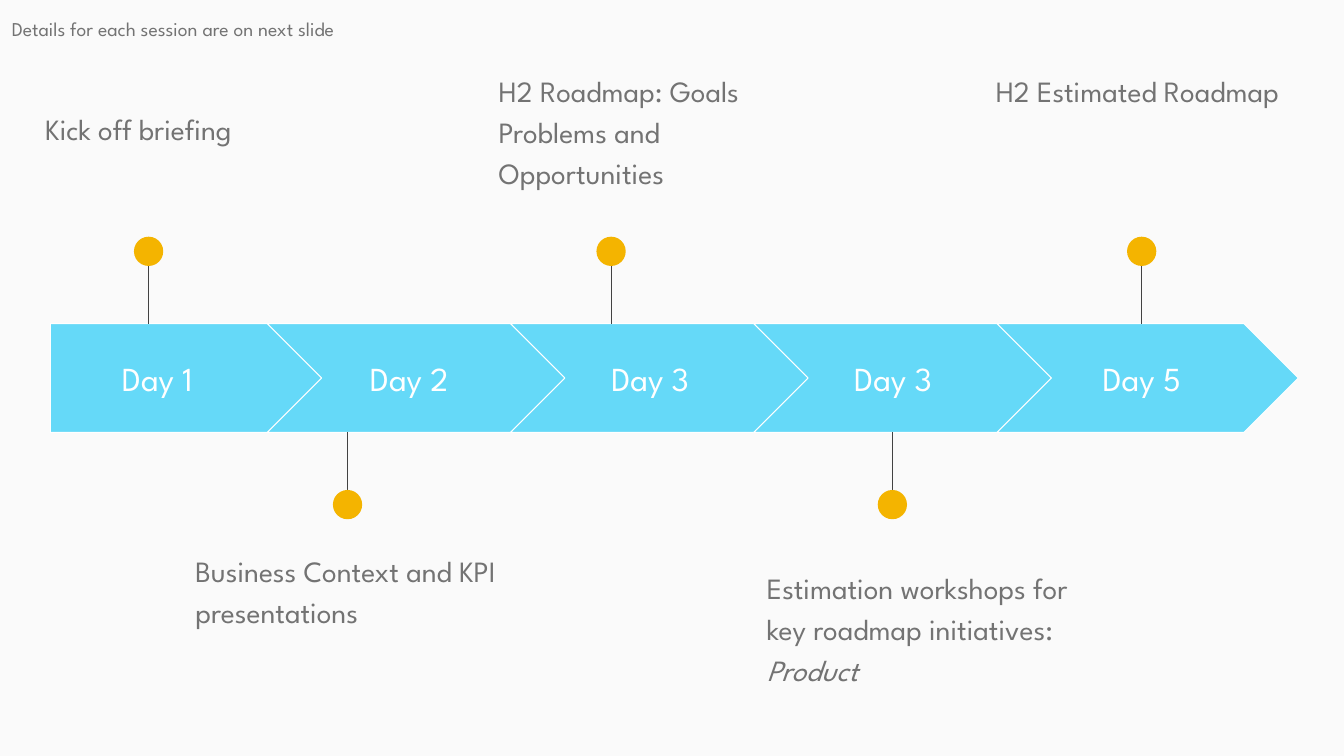
import pptx
import pptx.util
import pptx.dml.color
import pptx.enum.shapes
import pptx.enum.text
import pptx.oxml.ns
import lxml.etree

SHAPE = pptx.enum.shapes.MSO_SHAPE
ALIGN = pptx.enum.text.PP_ALIGN
ANCHOR = pptx.enum.text.MSO_ANCHOR
FONT = "League Spartan"
BLUE, GOLD, GREY, WHITE = "65D9F8", "F4B400", "737373", "FFFFFF"
DARK, PAPER = "424242", "FAFAFA"

# The slide is a grid of 100 columns by 100 rows
WIDE, HIGH = pptx.util.Inches(13.333), pptx.util.Inches(7.5)

# Band: left, top, width, height
BAND = (3.75, 42.8, 92.85, 14.4)
STEP = 18.1  # columns from one arrow tip to the next
ARROW = 22.42  # columns in a chevron

# Day, label centre, pin column, above the band, note box, note runs
DAYS = [
    ("Day 1", 11.7, 11.06, True, (2.4, 12.27, 24.53, 16.4),
     ["Kick off briefing"]),
    ("Day 2", 30.45, 25.86, False, (13.58, 70.8, 24.53, 27.87),
     ["Business Context and KPI presentations"]),
    ("Day 3", 48.38, 45.47, True, (36.15, 7.33, 24.53, 17.6),
     ["H2 Roadmap: Goals Problems and Opportunities"]),
    ("Day 3", 66.45, 66.4, False, (56.1, 73.07, 24.53, 17.6),
     ["Estimation workshops for key roadmap initiatives: ", "Product"]),
    ("Day 5", 84.95, 84.95, True, (73.13, 7.33, 24.53, 17.6),
     ["H2 Estimated Roadmap"]),
]


def paint(code):
    return pptx.dml.color.RGBColor.from_string(code)


def cols(n):
    return round(WIDE * n / 100)


def rows(n):
    return round(HIGH * n / 100)


def place(box):
    left, top, width, height = box
    return cols(left), rows(top), cols(width), rows(height)


def shape(slide, kind, box, fill, line=None):
    item = slide.shapes.add_shape(kind, *place(box))
    item.shadow.inherit = False
    item.fill.solid()
    item.fill.fore_color.rgb = paint(fill)
    if line:
        item.line.color.rgb = paint(line)
        item.line.width = pptx.util.Pt(0.75)
    else:
        item.line.fill.background()
    return item


def text(slide, box, parts, size, color, label=False):
    frame = slide.shapes.add_textbox(*place(box)).text_frame
    frame.word_wrap = True
    frame.margin_left = frame.margin_right = cols(0.96)
    frame.margin_top = frame.margin_bottom = rows(1.7)
    para = frame.paragraphs[0]
    if label:
        frame.vertical_anchor = ANCHOR.MIDDLE
        para.alignment = ALIGN.CENTER
    else:
        para.line_spacing = 1.15
    for spot, part in enumerate(parts):
        run = para.add_run()
        run.text = part
        run.font.name = FONT
        run.font.size = pptx.util.Pt(size)
        run.font.color.rgb = paint(color)
        if spot:
            run.font.italic = True


def arrows(slide, box):
    """Row of arrows with a day on each."""
    left, top, width, height = box
    for spot, (day, mid, *rest) in enumerate(DAYS):
        tip = left + width - STEP * (len(DAYS) - 1 - spot)
        start = tip - ARROW if spot else left
        kind = SHAPE.CHEVRON if spot else SHAPE.PENTAGON
        item = shape(slide, kind, (start, top, tip - start, height), BLUE, WHITE)
        item.adjustments[0] = 0.5
        tall = 9.2
        text(slide, (mid - 7.2, top + (height - tall) / 2, 14.4, tall),
             [day], 24, WHITE, True)


def pin(slide, box, col, above):
    """Stem and ball that stand off one edge of the band."""
    top, height = box[1], box[3]
    edge, way = (top, -1) if above else (top + height, 1)
    ends = cols(col), rows(edge), cols(col), rows(edge + way * 9.55)
    stem = slide.shapes.add_connector(
        pptx.enum.shapes.MSO_CONNECTOR.STRAIGHT, *ends)
    stem.line.color.rgb = paint(DARK)
    stem.line.width = pptx.util.Pt(0.75)
    lxml.etree.SubElement(stem._element.spPr, pptx.oxml.ns.qn("a:effectLst"))
    wide = 2.18
    tall = wide * WIDE / HIGH
    shape(slide, SHAPE.OVAL,
          (col - wide / 2, edge + way * 9.55 - tall / 2, wide, tall), GOLD)


def main():
    deck = pptx.Presentation()
    deck.slide_width, deck.slide_height = WIDE, HIGH
    slide = deck.slides.add_slide(deck.slide_layouts[6])
    slide.background.fill.solid()
    slide.background.fill.fore_color.rgb = paint(PAPER)

    # Timeline
    arrows(slide, BAND)

    # Pins and notes
    for day, mid, col, above, note, parts in DAYS:
        pin(slide, BAND, col, above)
        text(slide, note, parts, 21, GREY)

    # Remark at the top
    text(slide, (-0.08, 0.13, 49.88, 16.4),
         ["Details for each session are on next slide"], 14, GREY)

    deck.save("out.pptx")


if __name__ == "__main__":
    main()
